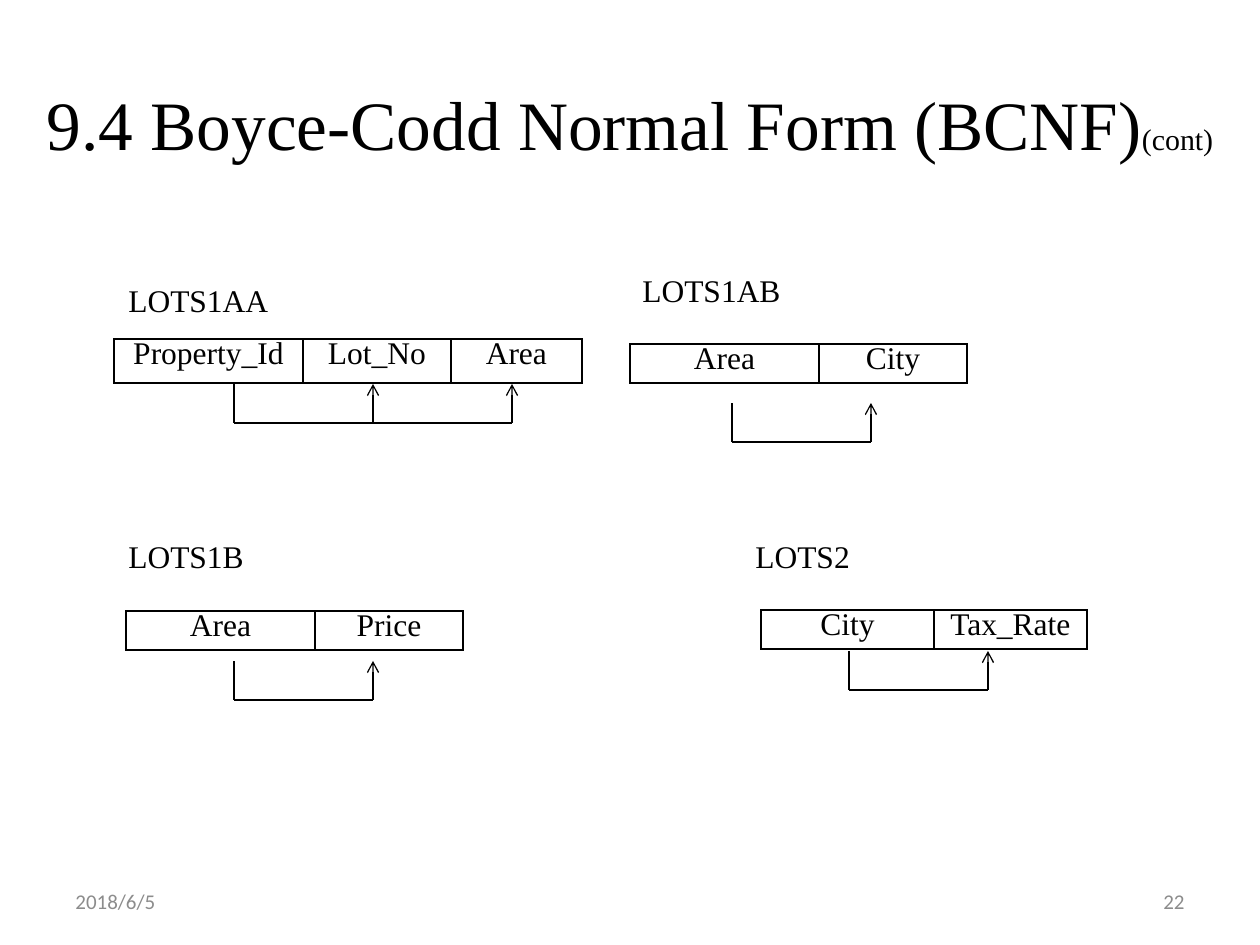
from lxml import etree
from pptx import Presentation
from pptx.dml.color import RGBColor
from pptx.enum.shapes import MSO_CONNECTOR
from pptx.enum.text import MSO_ANCHOR, MSO_AUTO_SIZE, PP_ALIGN
from pptx.oxml.ns import qn
from pptx.util import Pt

PX = 914400 // 126
COLORS = {"ink": "000000", "footer": "8C8C8C"}
SERIF = "Times New Roman"
ARROW_RISE = 39

prs = Presentation()
prs.slide_width, prs.slide_height = 1260 * PX, 945 * PX
slide = prs.slides.add_slide(prs.slide_layouts[5])
shapes = slide.shapes


def add_run(paragraph, text, size, font=SERIF, color="ink"):
    run = paragraph.add_run()
    run.text = text
    run.font.size = Pt(size)
    run.font.name = font
    run.font.color.rgb = RGBColor.from_string(COLORS[color])


def add_line(start, end, arrow=False):
    points = [v * PX for v in (*start, *end)]
    line = shapes.add_connector(MSO_CONNECTOR.STRAIGHT, *points)
    line.line.width = Pt(0.75)
    line.line.color.rgb = RGBColor.from_string(COLORS["ink"])
    if arrow:
        etree.SubElement(line.line._get_or_add_ln(), qn("a:tailEnd"), type="arrow")
    etree.SubElement(line._element.spPr, qn("a:effectLst"))


title = shapes.title
title.left, title.top, title.width, title.height = [v * PX for v in (15, 44, 1230, 158)]
title.text_frame.auto_size = MSO_AUTO_SIZE.NONE
title.text_frame.vertical_anchor = MSO_ANCHOR.MIDDLE
heading = title.text_frame.paragraphs[0]
heading.alignment = PP_ALIGN.CENTER
add_run(heading, "9.4 Boyce-Codd Normal Form (BCNF)", 39.6)
add_run(heading, "(cont)", 17.1)

relations = [
    ("LOTS1AA", (116, 275), (114, 339), 44,
     [("Property_Id", 189), ("Lot_No", 148), ("Area", 131)], 423, [234, 373, 512]),
    ("LOTS1AB", (630, 265), (630, 344), 39,
     [("Area", 189), ("City", 148)], 442, [732, 871]),
    ("LOTS1B", (116, 531), (126, 611), 39,
     [("Area", 189), ("Price", 148)], 700, [234, 373]),
    ("LOTS2", (743, 531), (761, 610), 39,
     [("City", 173), ("Tax_Rate", 153)], 690, [849, 988]),
]

for name, label_at, table_at, height, columns, base, stems in relations:
    label = shapes.add_textbox(*[v * PX for v in (*label_at, 189, 50)])
    label.text_frame.word_wrap = True
    add_run(label.text_frame.paragraphs[0], name, 18)

    width = sum(w for _, w in columns)
    frame = shapes.add_table(1, len(columns), *[v * PX for v in (*table_at, width, height)])
    table = frame.table
    table.first_row = table.horz_banding = False
    for i, (attribute, column_width) in enumerate(columns):
        table.columns[i].width = column_width * PX
        cell = table.cell(0, i)
        paragraph = cell.text_frame.paragraphs[0]
        paragraph.alignment = PP_ALIGN.CENTER
        paragraph.line_spacing = Pt(15)
        add_run(paragraph, attribute, 18)
        props = cell._tc.get_or_add_tcPr()
        for side in ("lnL", "lnR", "lnT", "lnB"):
            border = etree.SubElement(props, qn(f"a:{side}"), w=str(Pt(1)))
            fill = etree.SubElement(border, qn("a:solidFill"))
            etree.SubElement(fill, qn("a:srgbClr"), val=COLORS["ink"])
        cell.fill.background()

    add_line((stems[0], base), (stems[-1], base))
    for x in stems:
        add_line((x, base), (x, base - ARROW_RISE), arrow=x != stems[0])

for text, left, align in [("2018/6/5", 63, PP_ALIGN.LEFT), ("22", 903, PP_ALIGN.RIGHT)]:
    box = shapes.add_textbox(*[v * PX for v in (left, 876, 294, 50)])
    box.text_frame.word_wrap = True
    box.text_frame.vertical_anchor = MSO_ANCHOR.MIDDLE
    paragraph = box.text_frame.paragraphs[0]
    paragraph.alignment = align
    add_run(paragraph, text, 12, "Calibri", "footer")

prs.save("out.pptx")
